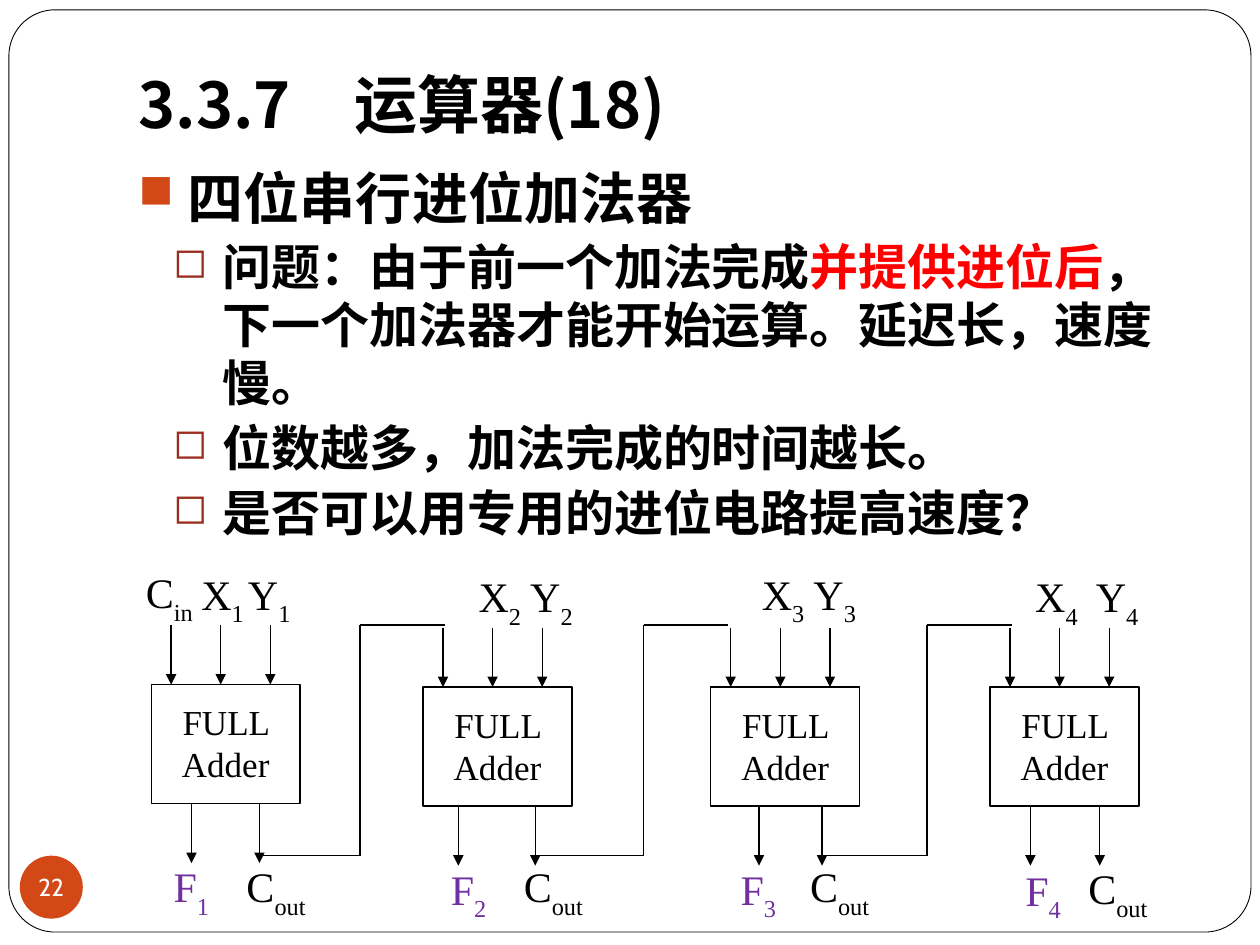
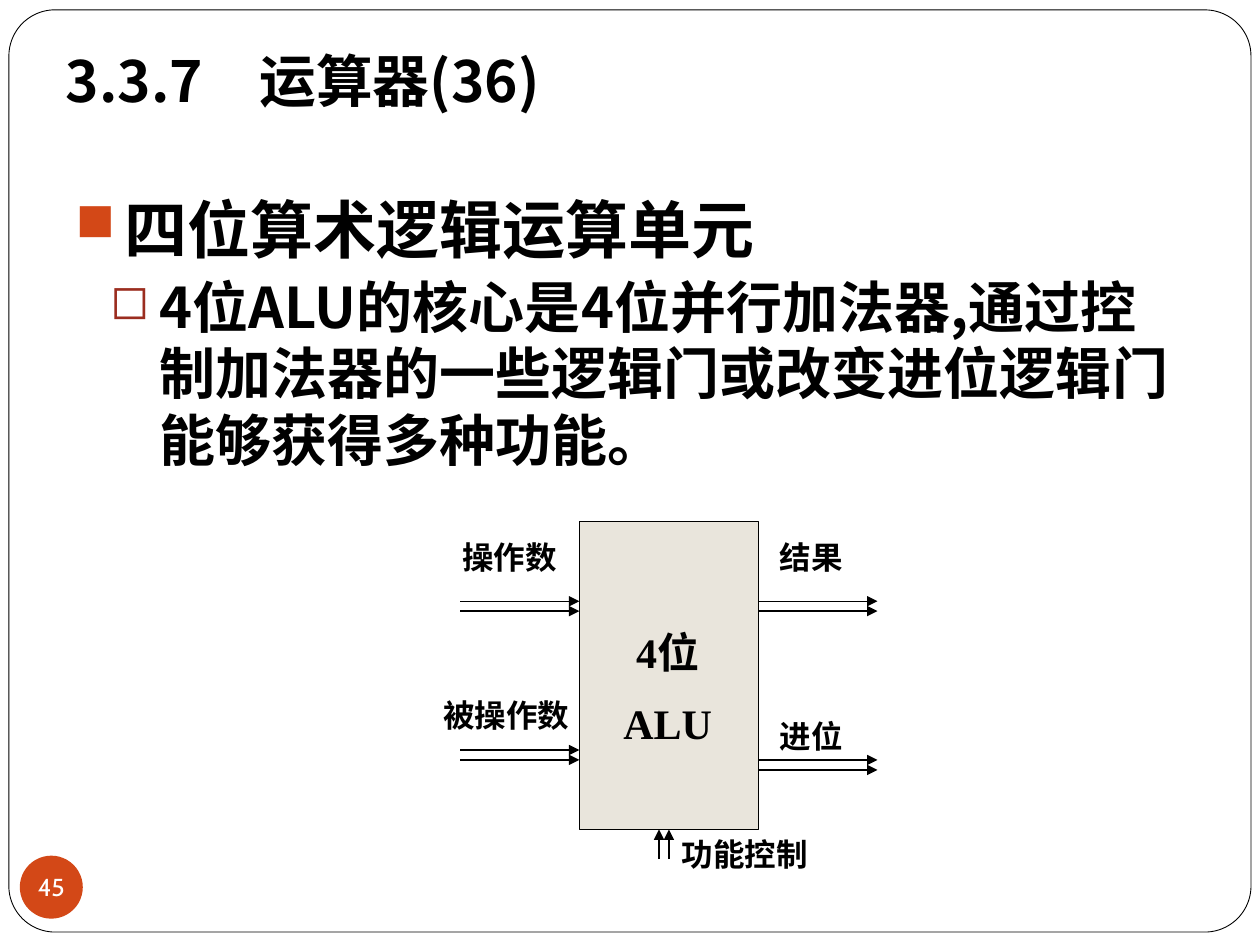
from dataclasses import dataclass
from itertools import pairwise

from lxml.etree import SubElement
from pptx import Presentation
from pptx.dml.color import RGBColor
from pptx.enum.shapes import MSO_CONNECTOR, MSO_SHAPE
from pptx.enum.text import MSO_ANCHOR, MSO_AUTO_SIZE, PP_ALIGN
from pptx.oxml.ns import qn
from pptx.util import Cm, Pt

BLACK = "000000"
WHITE = "FFFFFF"
RED = "FF0000"
PURPLE = "7030A0"
ORANGE = "D34817"
RUST = "9B2D1F"
STONE = "E9E5DC"
SANS = "Noto Sans CJK JP"
SERIF = "Times New Roman"
BADGE_FONT = "Cabin"
LINE_RATIO = 1.19

ADDER_WIDTH = 3.0
ADDER_HEIGHT = 2.4
WIRE = 1.2
INPUT_OFFSETS = (0.4, 1.4, 2.4)
CARRY_STEP = 5.715
CARRY_TOP = 12.6
CARRY_BOTTOM = 17.25
ALU_LEFT = 11.68
ALU_TOP = 10.52
ALU_WIDTH = 3.61
ALU_HEIGHT = 6.2
BUS_LENGTH = 2.4
BUS_GAP = 0.2


@dataclass(frozen=True)
class Bullet:
    spans: tuple[tuple[str, str], ...]
    size: float
    level: int = 0


@dataclass(frozen=True)
class Adder:
    digit: str
    left: float
    top: float
    sum_offset: float
    carry_offset: float
    x_left: float
    y_left: float
    input_top: float
    sum_left: float
    sum_top: float
    carry_left: float
    carry_top: float


@dataclass(frozen=True)
class Bus:
    label: str
    label_left: float
    label_top: float
    label_width: float
    left: float
    top: float


ADDERS = (
    Adder("1", 3.05, 13.8, 0.81, 2.18, 3.81, 4.75, 11.4, 3.25, 17.3, 4.72, 17.4),
    Adder("2", 8.53, 13.85, 0.71, 2.26, 9.4, 10.44, 11.46, 8.84, 17.35, 10.31, 17.4),
    Adder("3", 14.33, 13.85, 0.97, 2.24, 15.11, 16.15, 11.4, 14.68, 17.35, 16.08, 17.4),
    Adder("4", 19.96, 13.85, 0.81, 2.21, 20.62, 21.84, 11.46, 20.42, 17.37, 21.69, 17.45),
)

BUSES = (
    Bus("操作数", 9.07, 10.72, 2.79, ALU_LEFT - BUS_LENGTH, 12.12),
    Bus("被操作数", 8.69, 13.92, 3.2, ALU_LEFT - BUS_LENGTH, 15.12),
    Bus("结果", 15.47, 10.72, 2.49, ALU_LEFT + ALU_WIDTH, 12.12),
    Bus("进位", 15.47, 14.33, 1.8, ALU_LEFT + ALU_WIDTH, 15.32),
)

SERIAL_BULLETS = (
    Bullet((("四位串行进位加法器", BLACK),), 32),
    Bullet((
        ("问题：由于前一个加法完成", BLACK),
        ("并提供进位后", RED),
        ("，下一个加法器才能开始运算。延迟长，速度慢。", BLACK),
    ), 28, 1),
    Bullet((("位数越多，加法完成的时间越长。", BLACK),), 28, 1),
    Bullet((("是否可以用专用的进位电路提高速度？", BLACK),), 28, 1),
)

ALU_BULLETS = (
    Bullet((("四位算术逻辑运算单元", BLACK),), 36),
    Bullet(((
        "4位ALU的核心是4位并行加法器,通过控制加法器的一些逻辑门"
        "或改变进位逻辑门能够获得多种功能。", BLACK),), 32, 1),
)


def rgb(color: str) -> RGBColor:
    return RGBColor.from_string(color)


def write(para, text: str, *, size: float, color: str = BLACK, font: str = SERIF,
          bold: bool = False, subscript: bool = False) -> None:
    span = para.add_run()
    span.text = text
    span.font.size = Pt(size)
    span.font.bold = bold
    span.font.name = font
    span.font.color.rgb = rgb(color)
    properties = span._r.get_or_add_rPr()
    SubElement(properties, qn("a:ea")).set("typeface", SANS)
    if subscript:
        properties.set("baseline", "-30000")


def add_shape(page, kind, left: float, top: float, width: float, height: float, *,
              fill: str | None = None, line: str | None = BLACK, weight: float = 0.75):
    shape = page.shapes.add_shape(kind, Cm(left), Cm(top), Cm(width), Cm(height))
    shape.shadow.inherit = False
    if fill:
        shape.fill.solid()
        shape.fill.fore_color.rgb = rgb(fill)
    else:
        shape.fill.background()
    if line:
        shape.line.color.rgb = rgb(line)
        shape.line.width = Pt(weight)
    else:
        shape.line.fill.background()
    return shape


def add_box(page, left: float, top: float, width: float, height: float):
    box = page.shapes.add_textbox(Cm(left), Cm(top), Cm(width), Cm(height))
    box.text_frame.word_wrap = True
    return box.text_frame


def add_line(page, left: float, top: float, right: float, bottom: float, *,
             arrow: bool = False):
    line = page.shapes.add_connector(
        MSO_CONNECTOR.STRAIGHT, Cm(left), Cm(top), Cm(right), Cm(bottom))
    line.line.color.rgb = rgb(BLACK)
    line.line.width = Pt(0.75)
    if arrow:
        SubElement(line.line._get_or_add_ln(), qn("a:tailEnd")).set("type", "triangle")
    SubElement(line._element.spPr, qn("a:effectLst"))
    return line


def add_symbol(page, letter: str, index: str, left: float, top: float, width: float,
               height: float = 1.3, *, color: str = BLACK) -> None:
    frame = add_box(page, left, top, width, height)
    frame.word_wrap = False
    frame.auto_size = MSO_AUTO_SIZE.SHAPE_TO_FIT_TEXT
    frame.vertical_anchor = MSO_ANCHOR.MIDDLE
    para = frame.paragraphs[0]
    write(para, letter, size=24, color=color)
    write(para, index, size=24, color=color, subscript=True)


def add_label(page, text: str, left: float, top: float, width: float) -> None:
    para = add_box(page, left, top, width, 1.02).paragraphs[0]
    para.line_spacing = Pt(18 * LINE_RATIO)
    write(para, text, size=18, bold=True)


def add_bullets(page, bullets: tuple[Bullet, ...], left: float, top: float,
                width: float, height: float) -> None:
    frame = add_box(page, left, top, width, height)
    for number, bullet in enumerate(bullets):
        para = frame.add_paragraph() if number else frame.paragraphs[0]
        para.level = bullet.level
        para.space_before = Pt(3.7 if bullet.level else 5.8)
        para.line_spacing = Pt(round(bullet.size * LINE_RATIO, 1))
        properties = para._p.get_or_add_pPr()
        properties.set("marL", str(Cm(1.7 if bullet.level else 1.0)))
        properties.set("indent", str(-Cm(1.0)))
        color = SubElement(properties, qn("a:buClr"))
        SubElement(color, qn("a:srgbClr")).set("val", RUST if bullet.level else ORANGE)
        SubElement(properties, qn("a:buSzPct")).set("val", "85000")
        SubElement(properties, qn("a:buChar")).set("char", "◻" if bullet.level else "■")
        for text, span_color in bullet.spans:
            write(para, text, size=bullet.size, color=span_color, font=SANS, bold=True)


def add_page(deck, title: str, number: str, *, size: float, left: float, top: float,
             width: float, height: float):
    page = deck.slides.add_slide(deck.slide_layouts[5])
    heading = page.shapes.title
    border = add_shape(page, MSO_SHAPE.ROUNDED_RECTANGLE, 0.18, 0.2, 25.04, 18.59,
                       fill=WHITE, weight=0.5)
    border.adjustments[0] = 0.05
    heading._element.addprevious(border._element)

    heading.left, heading.top = Cm(left), Cm(top)
    heading.width, heading.height = Cm(width), Cm(height)
    frame = heading.text_frame
    frame.auto_size = MSO_AUTO_SIZE.NONE
    frame.vertical_anchor = MSO_ANCHOR.BOTTOM
    frame.margin_bottom = Cm(0.25)
    para = frame.paragraphs[0]
    para.alignment = PP_ALIGN.LEFT
    write(para, title, size=size, font=SANS, bold=True)

    badge = add_shape(page, MSO_SHAPE.OVAL, 0.4, 17.25, 1.27, 1.27,
                      fill=ORANGE, line=None).text_frame
    badge.margin_left = badge.margin_right = badge.margin_top = badge.margin_bottom = 0
    badge.word_wrap = False
    badge.vertical_anchor = MSO_ANCHOR.MIDDLE
    badge.paragraphs[0].alignment = PP_ALIGN.CENTER
    write(badge.paragraphs[0], number, size=14, color=WHITE, font=BADGE_FONT)
    return page


def draw_adder(page, adder: Adder) -> None:
    bottom = adder.top + ADDER_HEIGHT
    add_shape(page, MSO_SHAPE.RECTANGLE, adder.left, adder.top, ADDER_WIDTH, ADDER_HEIGHT)
    para = add_box(page, adder.left + 0.2, adder.top + 0.2, 2.6, 1.96).paragraphs[0]
    para.alignment = PP_ALIGN.CENTER
    write(para, "FULL Adder", size=20)
    for offset in INPUT_OFFSETS:
        x = adder.left + offset
        add_line(page, x, adder.top - WIRE, x, adder.top, arrow=True)
    for offset in (adder.sum_offset, adder.carry_offset):
        x = adder.left + offset
        add_line(page, x, bottom, x, bottom + WIRE, arrow=True)
    add_symbol(page, "X", adder.digit, adder.x_left, adder.input_top, 1.63)
    add_symbol(page, "Y", adder.digit, adder.y_left, adder.input_top, 1.63)
    add_symbol(page, "F", adder.digit, adder.sum_left, adder.sum_top, 1.5, color=PURPLE)
    add_symbol(page, "C", "out", adder.carry_left, adder.carry_top, 1.78, 1.09)


def draw_carry(page, shift: float) -> None:
    start, bend, end = (x + shift for x in (5.16, 7.26, 8.97))
    corners = ((start, CARRY_BOTTOM), (bend, CARRY_BOTTOM),
               (bend, CARRY_TOP), (end, CARRY_TOP))
    for first, second in pairwise(corners):
        add_line(page, *first, *second)


def build_serial_adder(deck) -> None:
    page = add_page(deck, "3.3.7　运算器(18)", "22", size=36,
                    left=2.54, top=-0.08, width=21.59, height=3.18)
    add_bullets(page, SERIAL_BULLETS, 2.54, 3.18, 21.59, 12.7)
    add_symbol(page, "C", "in", 2.69, 11.48, 1.55, 1.09)
    for adder in ADDERS:
        draw_adder(page, adder)
    for link in range(len(ADDERS) - 1):
        draw_carry(page, link * CARRY_STEP)


def build_alu(deck) -> None:
    page = add_page(deck, "3.3.7　运算器(36)", "45", size=32.4,
                    left=1.07, top=0.84, width=24.13, height=1.7)
    add_bullets(page, ALU_BULLETS, 1.27, 3.73, 22.86, 11.6)
    alu = add_shape(page, MSO_SHAPE.RECTANGLE, ALU_LEFT, ALU_TOP, ALU_WIDTH, ALU_HEIGHT,
                    fill=STONE)
    frame = add_box(page, 12.06, 12.52, 2.8, 2.36)
    for para, text in ((frame.paragraphs[0], "4位"), (frame.add_paragraph(), "ALU")):
        para.alignment = PP_ALIGN.CENTER
        para.space_before = Pt(12)
        para.line_spacing = Pt(24 * LINE_RATIO)
        write(para, text, size=24, bold=True)

    for bus in BUSES:
        for y in (bus.top, bus.top + BUS_GAP):
            add_line(page, bus.left, y, bus.left + BUS_LENGTH, y, arrow=True)
        add_label(page, bus.label, bus.label_left, bus.label_top, bus.label_width)

    bottom = ALU_TOP + ALU_HEIGHT
    middle = ALU_LEFT + ALU_WIDTH / 2
    add_line(page, middle - BUS_GAP, bottom + 0.6, middle - BUS_GAP, bottom, arrow=True)
    control = add_line(page, middle, bottom + 0.6, middle, bottom, arrow=True)
    control.end_connect(alu, 2)
    add_label(page, "功能控制", 13.49, bottom, 4.29)


def main() -> None:
    deck = Presentation()
    deck.slide_width, deck.slide_height = Cm(25.4), Cm(19.05)
    build_serial_adder(deck)
    build_alu(deck)
    deck.save("out.pptx")


if __name__ == "__main__":
    main()
